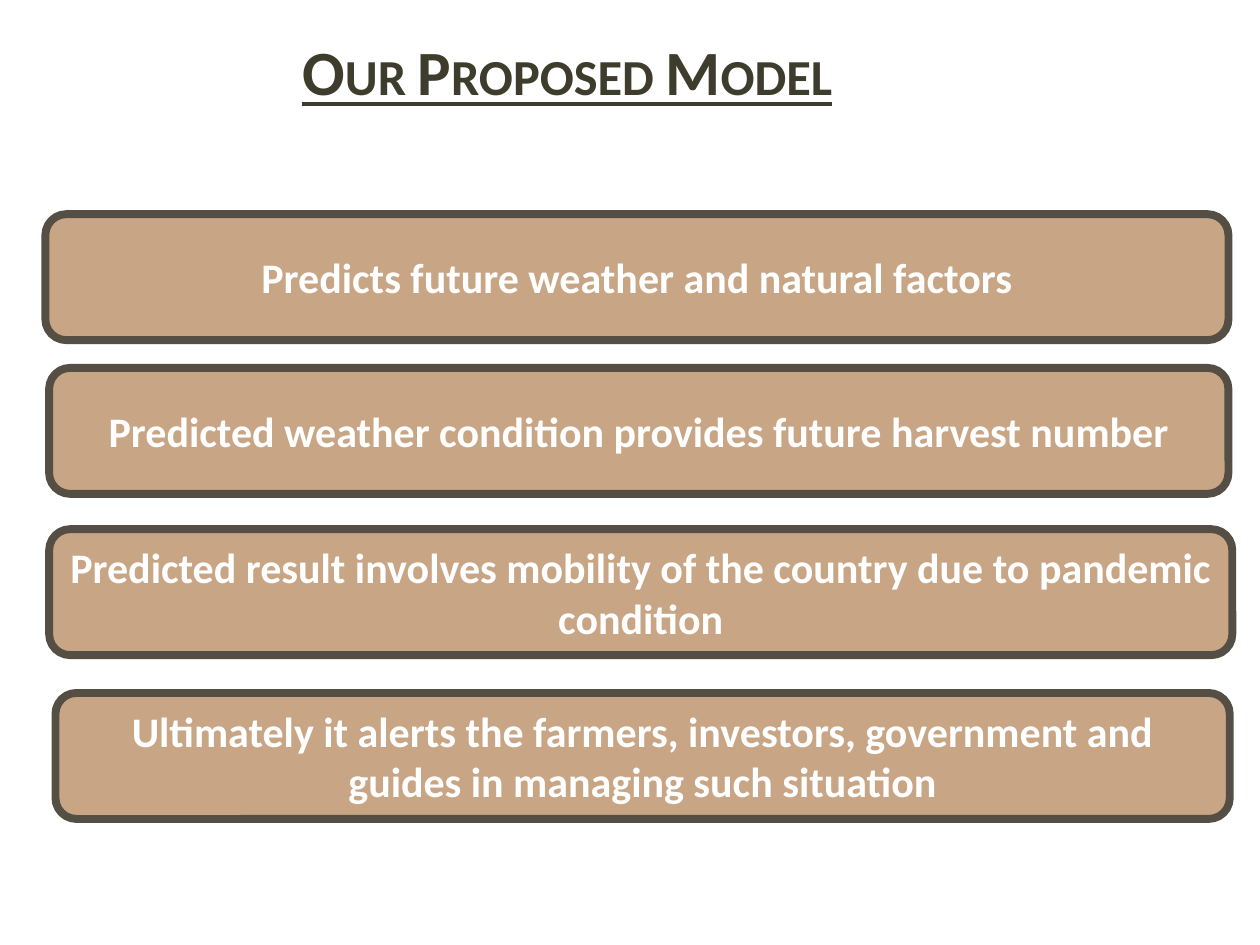
"""Build the slide of four stacked statements about the proposed model."""
from pptx import Presentation
from pptx import util as u
from pptx.dml.color import RGBColor
from pptx.enum import shapes, text

TAN = RGBColor(0xC8, 0xA6, 0x85)
BROWN = RGBColor(0x55, 0x4E, 0x44)
OLIVE = RGBColor(0x3E, 0x3D, 0x2D)
WHITE = RGBColor(0xFF, 0xFF, 0xFF)

STEPS = [
    (0.36, 1.7, 9.39, "Predicts future weather and natural factors"),
    (0.39, 2.92, 9.36, "Predicted weather condition provides future harvest number"),
    (0.39, 4.2, 9.39, "Predicted result involves mobility of the country due to pandemic condition"),
    (0.44, 5.5, 9.32, "Ultimately it alerts the farmers, investors, government and guides in managing such situation"),
]


def style(para, size, color):
    font = para.font
    font.name, font.size, font.bold = "Calibri", u.Pt(size), True
    font.color.rgb = color


deck = Presentation()
deck.slide_width, deck.slide_height = u.Inches(10), u.Inches(7.5)
slide = deck.slides.add_slide(deck.slide_layouts[6])

title = slide.shapes.add_textbox(u.Inches(0.5), u.Inches(0.08), u.Inches(8.17), u.Inches(0.83))
frame = title.text_frame
frame.word_wrap = True
frame.vertical_anchor = text.MSO_ANCHOR.BOTTOM
frame.margin_left = u.Inches(1.9)
para = frame.paragraphs[0]
run = para.add_run()
run.text = "Our Proposed Model"
run.font.underline = True
run._r.get_or_add_rPr().set("cap", "small")
style(para, 36, OLIVE)

for left, top, width, words in STEPS:
    box = slide.shapes.add_shape(
        shapes.MSO_SHAPE.ROUNDED_RECTANGLE,
        u.Inches(left), u.Inches(top), u.Inches(width), u.Inches(1))
    box.shadow.inherit = False
    box.fill.solid()
    box.fill.fore_color.rgb = TAN
    box.line.color.rgb = BROWN
    box.line.width = u.Pt(4.5)
    frame = box.text_frame
    frame.word_wrap = True
    frame.vertical_anchor = text.MSO_ANCHOR.MIDDLE
    para = frame.paragraphs[0]
    para.text = words
    para.alignment = text.PP_ALIGN.CENTER
    style(para, 24, WHITE)

deck.save("out.pptx")
